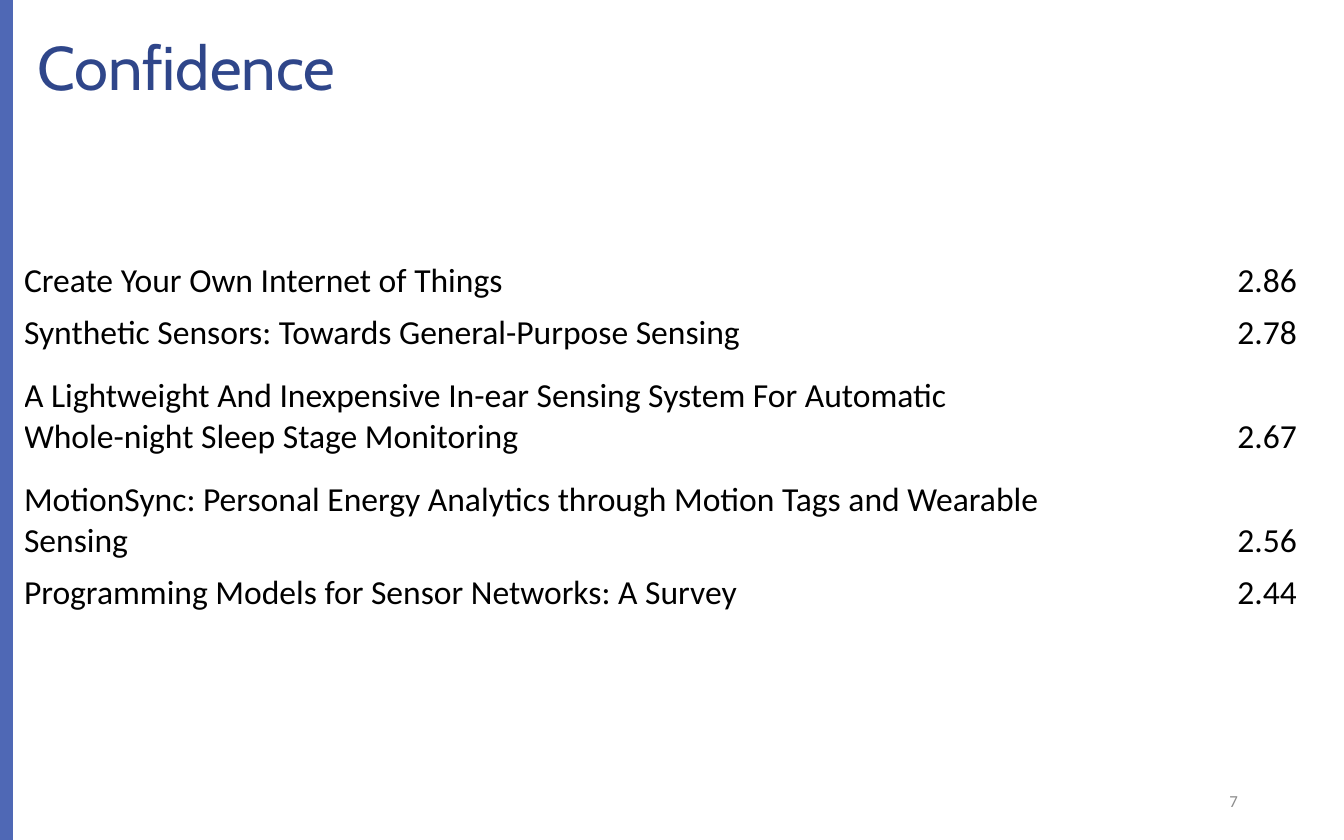
import pptx
import pptx.dml.color
import pptx.enum.shapes
import pptx.enum.text
import pptx.oxml
import pptx.util

EMU_PER_PX = 914400 / 134.4
ALIGN = pptx.enum.text.PP_ALIGN
ANCHOR = pptx.enum.text.MSO_ANCHOR
LINE, DOUBLE_LINE = 52, 104
RATINGS = [
    ("Create Your Own Internet of Things", "2.86", LINE),
    ("Synthetic Sensors: Towards General-Purpose Sensing", "2.78", LINE),
    ("A Lightweight And Inexpensive In-ear Sensing System For Automatic "
     "Whole-night Sleep Stage Monitoring", "2.67", DOUBLE_LINE),
    ("MotionSync: Personal Energy Analytics through Motion Tags and "
     "Wearable Sensing", "2.56", DOUBLE_LINE),
    ("Programming Models for Sensor Networks: A Survey", "2.44", LINE),
]


def px(n):
    """Turn pixels into EMU."""
    return pptx.util.Emu(round(n * EMU_PER_PX))


def rgb(code):
    """Turn a hex string into a colour."""
    return pptx.dml.color.RGBColor.from_string(code)


def write(tf, text, size=18, font="Calibri", color="000000", align=ALIGN.LEFT, spacing=1.0):
    """Write one formatted paragraph into a text frame."""
    tf.word_wrap = True
    p = tf.paragraphs[0]
    p.alignment = align
    p.line_spacing = spacing
    r = p.add_run()
    r.text = text
    r.font.size = pptx.util.Pt(size)
    r.font.name = font
    r.font.bold = False
    r.font.color.rgb = rgb(color)


def add_stripe(s, x, y, w, h, color, opacity):
    """Add a translucent stripe without an outline."""
    sp = s.shapes.add_shape(pptx.enum.shapes.MSO_SHAPE.RECTANGLE, px(x), px(y), px(w), px(h))
    sp.shadow.inherit = False
    sp.line.fill.background()
    sp.fill.solid()
    sp.fill.fore_color.rgb = rgb(color)
    clr = sp.fill._xPr.find(".//" + pptx.oxml.ns.qn("a:srgbClr"))
    alpha = pptx.oxml.parse_xml(
        f'<a:alpha {pptx.oxml.ns.nsdecls("a")} val="{opacity * 1000}"/>')
    clr.append(alpha)


def set_title(s, text, x, y, w, h):
    """Place and fill the title placeholder."""
    sp = s.shapes.title
    sp.left, sp.top, sp.width, sp.height = px(x), px(y), px(w), px(h)
    sp.text_frame.vertical_anchor = ANCHOR.MIDDLE
    write(sp.text_frame, text, size=33, font="Cabin", color="2F468A", spacing=0.9)


def fill_cell(cell, text, align):
    """Fill a plain table cell without margins."""
    cell.fill.background()
    cell.margin_left = cell.margin_right = cell.margin_top = cell.margin_bottom = 0
    cell.vertical_anchor = ANCHOR.BOTTOM
    write(cell.text_frame, text, align=align)


def add_ratings(s, x, y, widths):
    """Add the table of papers and their ratings."""
    height = sum(h for _, _, h in RATINGS)
    table = s.shapes.add_table(
        len(RATINGS), len(widths), px(x), px(y), px(sum(widths)), px(height)).table
    table.first_row = table.horz_banding = False
    for column, width in zip(table.columns, widths):
        column.width = px(width)
    for i, (paper, rating, h) in enumerate(RATINGS):
        table.rows[i].height = px(h)
        fill_cell(table.cell(i, 0), paper, ALIGN.LEFT)
        fill_cell(table.cell(i, 1), rating, ALIGN.RIGHT)


def add_page_number(s, text, x, y, w, h):
    """Add the small grey page number."""
    tf = s.shapes.add_textbox(px(x), px(y), px(w), px(h)).text_frame
    tf.vertical_anchor = ANCHOR.MIDDLE
    write(tf, text, size=9, color="8C8C8C", align=ALIGN.RIGHT)


def main():
    """Build and save the slide."""
    prs = pptx.Presentation()
    prs.slide_width, prs.slide_height = px(1344), px(840)
    s = prs.slides.add_slide(prs.slide_layouts[5])
    add_stripe(s, 0, 0, 13, 840, "3C58AD", 90)
    set_title(s, "Confidence", 24, 13, 1305, 116)
    add_ratings(s, 24, 250, [1027, 246])
    add_page_number(s, "7", 949, 778, 302, 45)
    prs.save("out.pptx")


if __name__ == "__main__":
    main()
